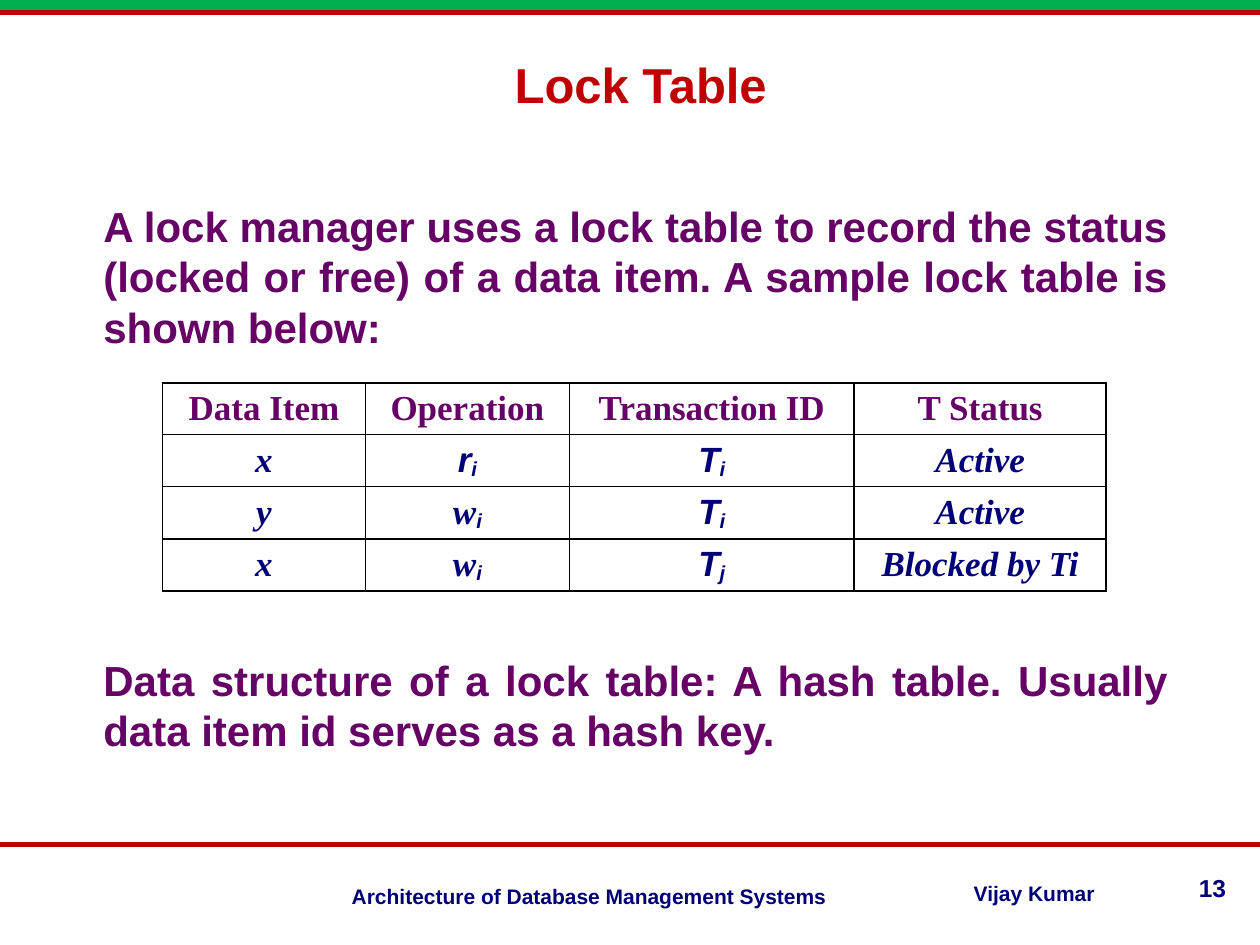
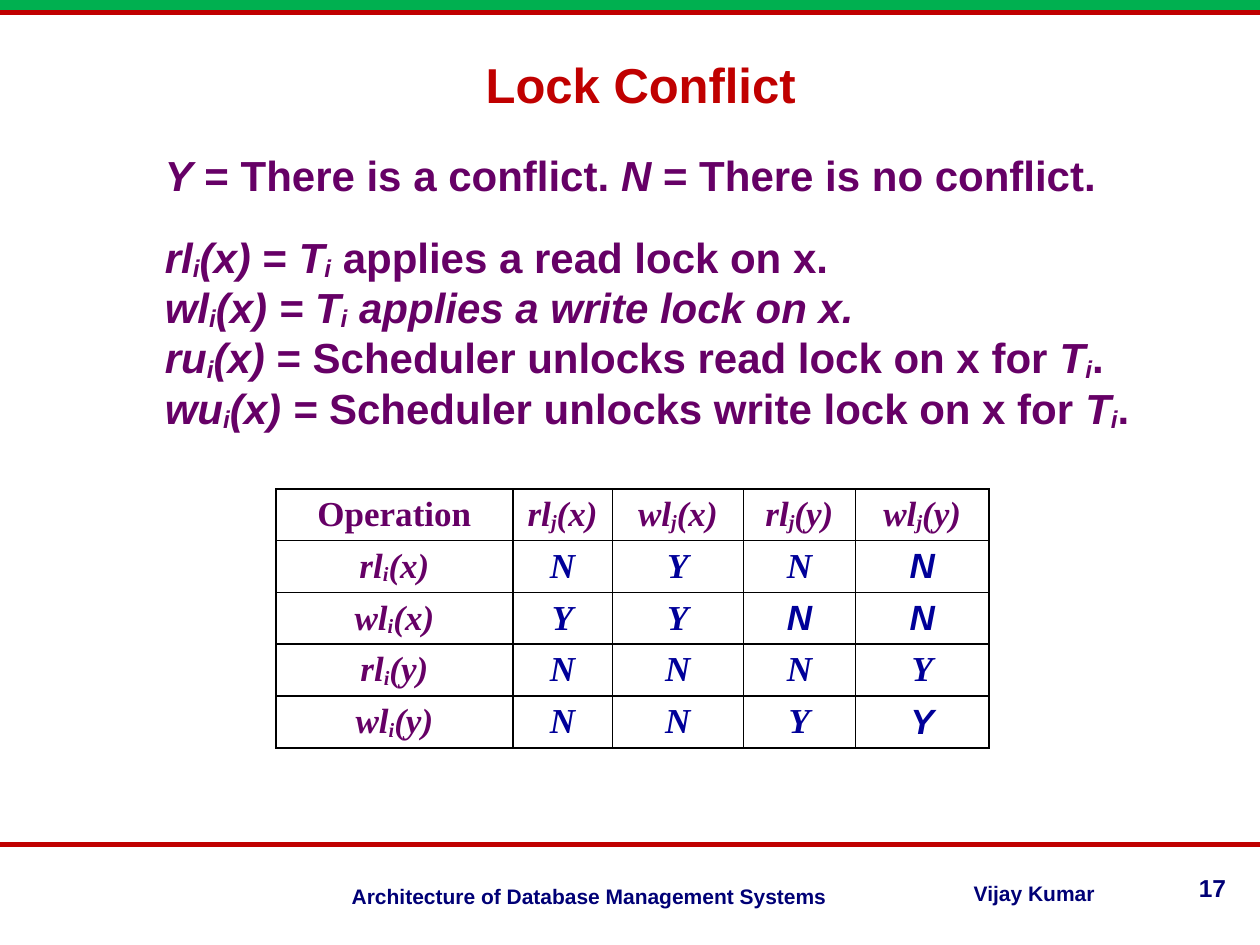
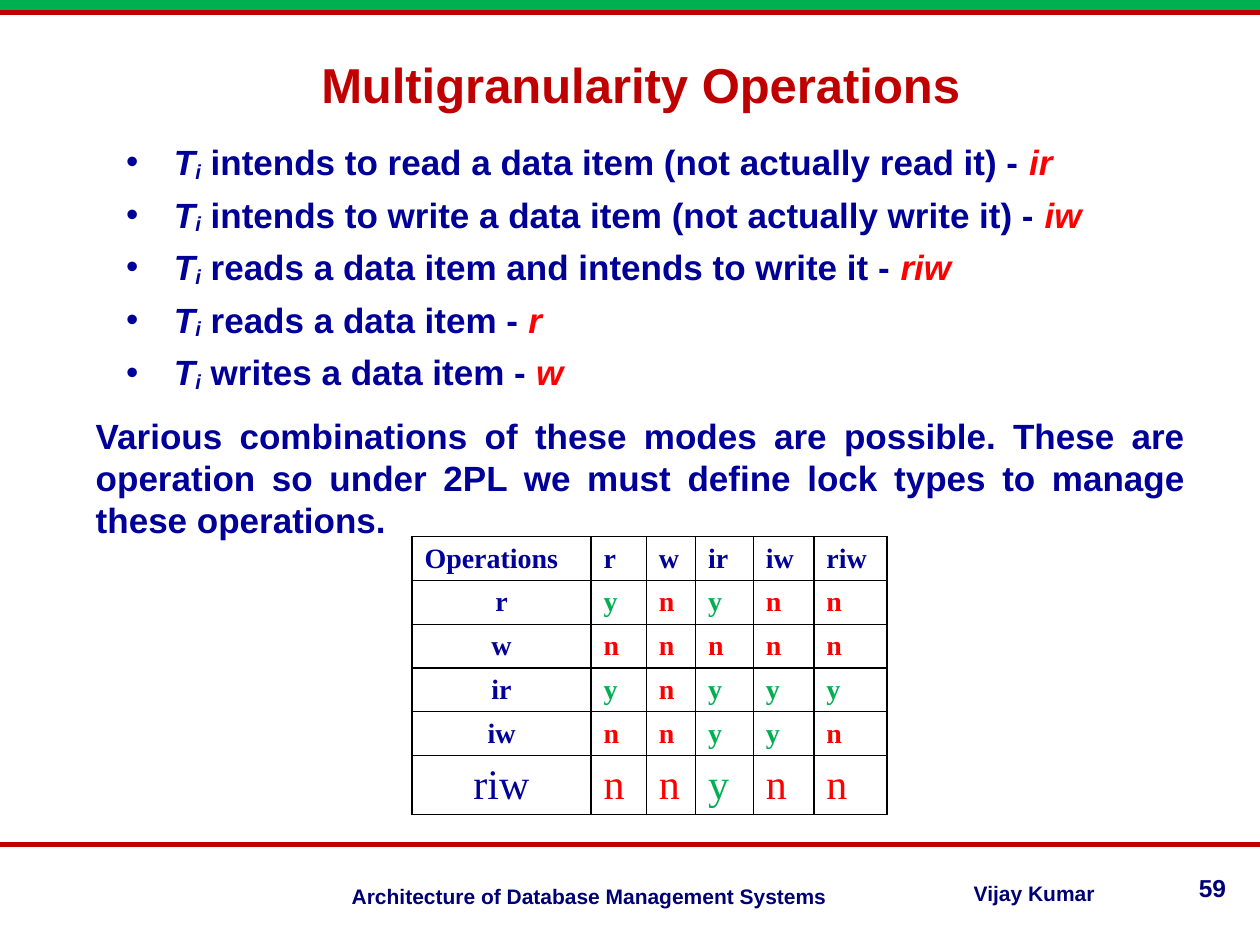
"""Build three slides on database locking: lock table, lock conflicts and multigranularity operations."""
from lxml import etree
from pptx import Presentation
from pptx.dml.color import RGBColor
from pptx.enum.shapes import MSO_CONNECTOR, MSO_SHAPE
from pptx.enum.text import MSO_ANCHOR, MSO_AUTO_SIZE, PP_ALIGN
from pptx.oxml.ns import qn
from pptx.util import Inches, Pt

LEFT, CENTER, RIGHT, JUSTIFY = PP_ALIGN.LEFT, PP_ALIGN.CENTER, PP_ALIGN.RIGHT, PP_ALIGN.JUSTIFY
MIDDLE, NO_FIT = MSO_ANCHOR.MIDDLE, MSO_AUTO_SIZE.NONE
RECT, STRAIGHT = MSO_SHAPE.RECTANGLE, MSO_CONNECTOR.STRAIGHT

WIDTH, HEIGHT = 10, 7.5
SANS, SERIF = "Arial", "Times New Roman"
COLORS = {"crimson": "C00000", "green": "00B050", "navy": "000076", "purple": "660066",
          "blue": "000099", "red": "FF0000", "black": "000000"}
LINE_PITCH = 1.2
TITLE_AT = (0.17, 0.17, 9.83, 0.99)
TITLE_ONLY, TITLE_BODY = 5, 1
RULES = (0.1, 6.7)
FOOTERS = [("Architecture of Database Management Systems", (2.66, 6.96, 4, 0.27), RIGHT),
           ("Vijay Kumar", (7.63, 6.94, 1.26, 0.27), JUSTIFY)]
NUMBER_AT = (9.25, 6.88, 0.58, 0.26)


def sub(name, index, tail="", flags="i"):
    """Return runs for an italic symbol with a subscript and an optional tail."""
    runs = [(name, flags), (index, "ias")]
    return runs + [(tail, "i")] if tail else runs


def lock(name, index, item):
    """Return runs for a lock operation such as rl_i(x)."""
    return [(name, "i"), (index, "is"), (f"({item})", "i")]


TI, TJ = sub("T", "i", flags="ia"), sub("T", "j", flags="ia")
T_RUNS = lock("T", "i", "x")[:2]

LOCK_TEXT = [
    ("A lock manager uses a lock table to record the status (locked or free) of a data item. "
     "A sample lock table is shown below:", 0),
    ("Data structure of a lock table: A hash table. Usually data item id serves as a hash key.", 173),
]
LOCK_ROWS = [
    ["Data Item", "Operation", "Transaction ID", "T Status"],
    [[("x", "i")], sub("r", "i", flags="ia"), TI, [("Active", "i")]],
    [[("y", "i")], sub("w", "i"), TI, [("Active", "i")]],
    [[("x", "i")], sub("w", "i"), TJ, [("Blocked by Ti", "i")]],
]

CONFLICT_TEXT = [
    ([("Y", "i"), (" = There is a conflict. ", ""), ("N", "i"), (" = There is no conflict.", "")], 0),
    (lock("rl", "i", "x") + [(" = ", "")] + T_RUNS + [(" applies a read lock on x.", "")], 18),
    ([("wl", "i"), ("i", "is"), ("(x) = T", "i"), ("i", "is"),
      (" applies a write lock on x.", "i")], 0),
    (lock("ru", "i", "x") + [(" = Scheduler unlocks read lock on x for ", "")]
     + T_RUNS + [(".", "")], 0),
    ([("wu", "i"), ("i", "is"), ("(x) = ", "i"), ("Scheduler unlocks write lock on x for ", "")]
     + T_RUNS + [(".", "")], 0),
]
OPERATIONS = [("rl", "x"), ("wl", "x"), ("rl", "y"), ("wl", "y")]
CONFLICTS = ["NYNN", "YYNN", "NNNY", "NNYY"]
SANS_CONFLICTS = {(0, 3), (1, 2), (1, 3), (3, 3)}
CONFLICT_ROWS = [["Operation"] + [lock(name, "j", item) for name, item in OPERATIONS]] + [
    [lock(name, "i", item)]
    + [[(mark, "ia" if (i, j) in SANS_CONFLICTS else "i")] for j, mark in enumerate(marks)]
    for i, ((name, item), marks) in enumerate(zip(OPERATIONS, CONFLICTS))]

INTENTS = [("intends to read a data item (not actually read it)", "ir"),
           ("intends to write a data item (not actually write it)", "iw"),
           ("reads a data item and intends to write it", "riw"),
           ("reads a data item", "r"),
           ("writes a data item", "w")]
COMBINATIONS = ("Various combinations of these modes are possible. These are operation so under 2PL "
                "we must define lock types to manage these operations.")
MODES = ["r", "w", "ir", "iw", "riw"]
COMPATIBLE = ["ynynn", "nnnnn", "ynyyy", "nnyyn", "nnynn"]
MODE_ROWS = [["Operations"] + MODES] + [[mode, *marks] for mode, marks in zip(MODES, COMPATIBLE)]


def rgb(name):
    return RGBColor.from_string(COLORS[name])


def box(at):
    return [Inches(v) for v in at]


def write(p, runs, size, color, font=SANS, bold=True, align=LEFT):
    """Fill a paragraph; run flags are i italic, s subscript, a sans and r red."""
    p.alignment = align
    for text, flags in [(runs, "")] if isinstance(runs, str) else runs:
        r = p.add_run()
        r.text = text
        f = r.font
        f.name = SANS if "a" in flags else font
        f.size, f.bold, f.italic = Pt(size), bold, "i" in flags
        f.color.rgb = rgb("red" if "r" in flags else color)
        if "s" in flags:
            r._r.get_or_add_rPr().set("baseline", "-10000")


def write_all(tf, paragraphs, size, color, align=LEFT):
    """Write (runs, space before) pairs into a text frame and return its paragraphs."""
    tf.word_wrap, tf.auto_size = True, NO_FIT
    for i, (runs, before) in enumerate(paragraphs):
        p = tf.add_paragraph() if i else tf.paragraphs[0]
        p.space_before, p.line_spacing = Pt(before), Pt(size * LINE_PITCH)
        write(p, runs, size, color, align=align)
    return tf.paragraphs


def add_text(s, at, paragraphs, size, color, align=LEFT):
    sp = s.shapes.add_textbox(*box(at))
    write_all(sp.text_frame, paragraphs, size, color, align)
    return sp


def set_bullet(p, char=None):
    """Give a paragraph a hanging bullet, or none."""
    pPr = p._p.get_or_add_pPr()
    pPr.set("marL", str(Inches(0.62 if char else 0)))
    pPr.set("indent", str(Inches(-0.38 if char else 0)))
    if char:
        etree.SubElement(pPr, qn("a:buChar")).set("char", char)
    else:
        etree.SubElement(pPr, qn("a:buNone"))


def add_body(s, at, paragraphs, size, color, bullets=0):
    sp = s.placeholders[1]
    sp.left, sp.top, sp.width, sp.height = box(at)
    for i, p in enumerate(write_all(sp.text_frame, paragraphs, size, color, JUSTIFY)):
        set_bullet(p, "•" if i < bullets else None)


def set_borders(cell):
    tcPr = cell._tc.get_or_add_tcPr()
    for i, side in enumerate(("lnL", "lnR", "lnT", "lnB")):
        ln = etree.Element(qn(f"a:{side}"), w=str(Pt(1)))
        fill = etree.SubElement(ln, qn("a:solidFill"))
        etree.SubElement(fill, qn("a:srgbClr")).set("val", COLORS["black"])
        tcPr.insert(i, ln)


def add_grid(s, left, top, cols, heights, rows, style):
    """Add a bordered table; style(row, column, content) gives the text format of a cell."""
    at = (left, top, sum(cols), sum(heights))
    table = s.shapes.add_table(len(rows), len(cols), *box(at)).table
    table.first_row = table.horz_banding = False
    for col, width in zip(table.columns, cols):
        col.width = Inches(width)
    for i, (row, height) in enumerate(zip(rows, heights)):
        table.rows[i].height = Inches(height)
        for j, content in enumerate(row):
            cell = table.cell(i, j)
            cell.fill.background()
            set_borders(cell)
            write(cell.text_frame.paragraphs[0], content, font=SERIF, **style(i, j, content))


def lock_style(i, j, content):
    return {"size": 20, "color": "navy" if i else "purple", "align": CENTER}


def conflict_style(i, j, content):
    return {"size": 20, "color": "blue" if i and j else "purple", "align": CENTER}


def mode_style(i, j, content):
    last = i == len(MODES)
    mark = {"y": "green", "n": "red"}.get(content, "blue")
    return {"size": 24 if last else 16, "bold": not last, "color": mark,
            "align": CENTER if i and not j else LEFT}


def add_frame(prs, s):
    """Draw the band, rules and footers and hand them over to the slide master."""
    band = s.shapes.add_shape(RECT, 0, 0, Inches(WIDTH), Inches(0.08))
    band.shadow.inherit = False
    band.fill.solid()
    band.fill.fore_color.rgb = rgb("green")
    band.line.fill.background()
    parts = [band]
    for y in RULES:
        rule = s.shapes.add_connector(STRAIGHT, 0, Inches(y), Inches(WIDTH), Inches(y))
        rule.line.color.rgb, rule.line.width = rgb("crimson"), Pt(3)
        etree.SubElement(rule._element.spPr, qn("a:effectLst"))
        parts.append(rule)
    parts += [add_text(s, at, [(text, 0)], 12, "navy", align) for text, at, align in FOOTERS]
    for part in parts:
        prs.slide_master.shapes.element.append(part.element)


def new_slide(prs, layout, title, number):
    s = prs.slides.add_slide(prs.slide_layouts[layout])
    sp = s.shapes.title
    sp.left, sp.top, sp.width, sp.height = box(TITLE_AT)
    tf = sp.text_frame
    tf.vertical_anchor, tf.auto_size = MIDDLE, NO_FIT
    write(tf.paragraphs[0], title, 28, "crimson", align=CENTER)
    add_text(s, NUMBER_AT, [(str(number), 0)], 14, "navy", RIGHT)
    return s


def main():
    prs = Presentation()
    prs.slide_width, prs.slide_height = Inches(WIDTH), Inches(HEIGHT)

    s = new_slide(prs, TITLE_BODY, "Lock Table", 13)
    add_frame(prs, s)
    add_body(s, (0.72, 1.54, 8.65, 4.78), LOCK_TEXT, 24, "purple")
    add_grid(s, 1.29, 3.04, [1.61, 1.62, 2.26, 2], [0.41] * 4, LOCK_ROWS, lock_style)

    s = new_slide(prs, TITLE_ONLY, "Lock Conflict", 17)
    add_grid(s, 2.19, 3.88, [1.88, 0.79, 1.04, 0.89, 1.06], [0.41] * 5, CONFLICT_ROWS, conflict_style)
    add_text(s, (1.21, 1.14, 7.93, 2.37), CONFLICT_TEXT, 24, "purple")

    s = new_slide(prs, TITLE_BODY, "Multigranularity Operations", 59)
    intents = [(T_RUNS + [(f" {text} - ", ""), (mode, "ir")], 6 if i else 12)
               for i, (text, mode) in enumerate(INTENTS)]
    add_body(s, (0.66, 1.07, 8.85, 5.44), intents + [(COMBINATIONS, 12)], 20, "blue", len(INTENTS))
    add_grid(s, 3.27, 4.26, [1.42, 0.44, 0.39, 0.46, 0.48, 0.58], [0.32] * 5 + [0.35],
             MODE_ROWS, mode_style)

    prs.save("out.pptx")


if __name__ == "__main__":
    main()
